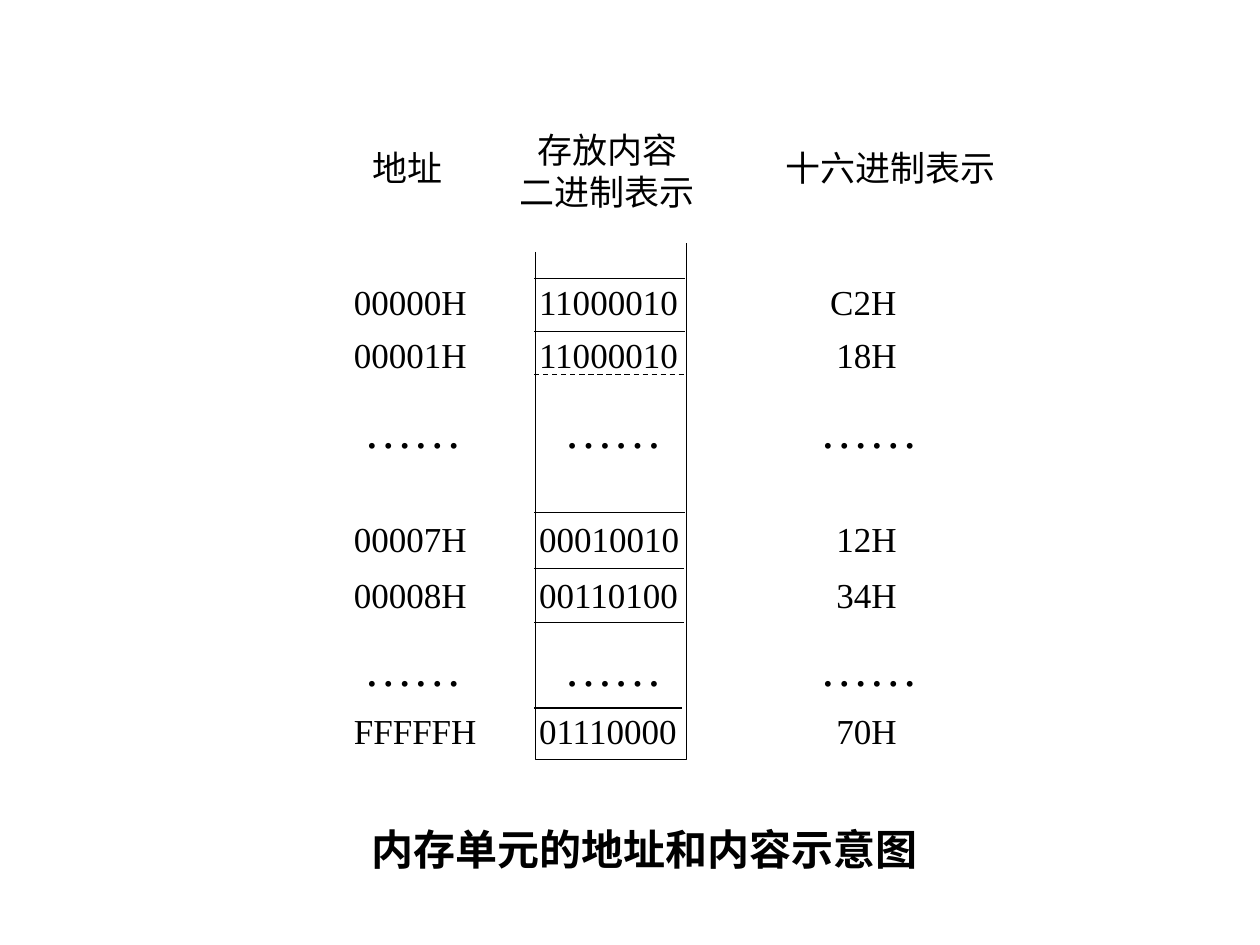
from pptx import Presentation
from pptx.util import Inches, Pt
from pptx.dml.color import RGBColor
from pptx.enum.dml import MSO_LINE_DASH_STYLE as Dash
from pptx.enum.shapes import MSO_CONNECTOR as Link
from pptx.enum.text import MSO_AUTO_SIZE as Fit, PP_ALIGN as Align
from lxml.etree import SubElement
from pptx.oxml.ns import qn

FONT, INK = "Times New Roman", "000000"
HEADS = [
    ("地址", 2.86, 1.11, 0.78, 0.44, Align.LEFT),
    ("存放内容\v二进制表示", 4.02, 0.97, 1.6, 0.77, Align.CENTER),
    ("十六进制表示", 6.13, 1.11, 1.88, 0.44, Align.CENTER),
]
ROWS = [
    (2.18, "00000H", "11000010", "C2H"),
    (2.6, "00001H", "11000010", "18H"),
    (4.06, "00007H", "00010010", "12H"),
    (4.5, "00008H", "00110100", "34H"),
    (5.58, "FFFFFH", "01110000", "70H"),
]
GAPS = [3.12, 5.01]
DOTS = [2.79, 4.38, 6.41]
RULES = [(2.21, 5.44), (2.63, 5.44), (2.97, 5.44), (4.07, 5.44),
         (4.51, 5.43), (4.94, 5.43), (5.62, 5.41)]
DASHED = 2.97
FRAME = [(4.25, 2), (4.25, 6.03), (5.45, 6.03), (5.45, 1.93)]
TITLE = "内存单元的地址和内容示意图"
ADDRESS, BINARY, HEX_END = 2.71, 4.18, 7.24
GLYPH = {"F": 0.16, "C": 0.19, "H": 0.2}


def color(code):
    return RGBColor.from_string(code)


def span(text):
    return round(0.22 + sum(GLYPH.get(c, 0.14) for c in text), 2)


def label(text, x, y, w, h, size=20, align=Align.LEFT, bold=False, wrap=False):
    box = slide.shapes.add_textbox(*map(Inches, (x, y, w, h)))
    frame = box.text_frame
    frame.word_wrap = wrap
    frame.auto_size = Fit.SHAPE_TO_FIT_TEXT
    frame.text = text
    para = frame.paragraphs[0]
    para.alignment = align
    font = para.font
    font.name, font.size, font.bold = FONT, Pt(size), bold
    font.color.rgb = color(INK)


def stroke(line):
    line.color.rgb = color(INK)
    line.width = Pt(0.75)


deck = Presentation()
deck.slide_width, deck.slide_height = Inches(10), Inches(7.5)
slide = deck.slides.add_slide(deck.slide_layouts[6])

for text, x, y, w, h, align in HEADS:
    label(text, x, y, w, h, align=align)

start, *rest = [(Inches(x), Inches(y)) for x, y in FRAME]
path = slide.shapes.build_freeform(*start)
path.add_line_segments(rest, close=False)
tower = path.convert_to_shape()
tower.fill.background()
tower.shadow.inherit = False
stroke(tower.line)

for y, end in RULES:
    rule = slide.shapes.add_connector(Link.STRAIGHT, *map(Inches, (4.24, y, end, y)))
    stroke(rule.line)
    if y == DASHED:
        rule.line.dash_style = Dash.DASH
    SubElement(rule._element.spPr, qn("a:effectLst"))

for y, place, bits, value in ROWS:
    for text, x in ((place, ADDRESS), (bits, BINARY), (value, HEX_END - span(value))):
        label(text, x, y, span(text), 0.44)

for y in GAPS:
    for x in DOTS:
        label("……", x, y, 1.07, 0.57, size=28)

label(TITLE, 2.85, 6.49, 4.76, 0.5, size=24, bold=True, wrap=True)

deck.save("out.pptx")
